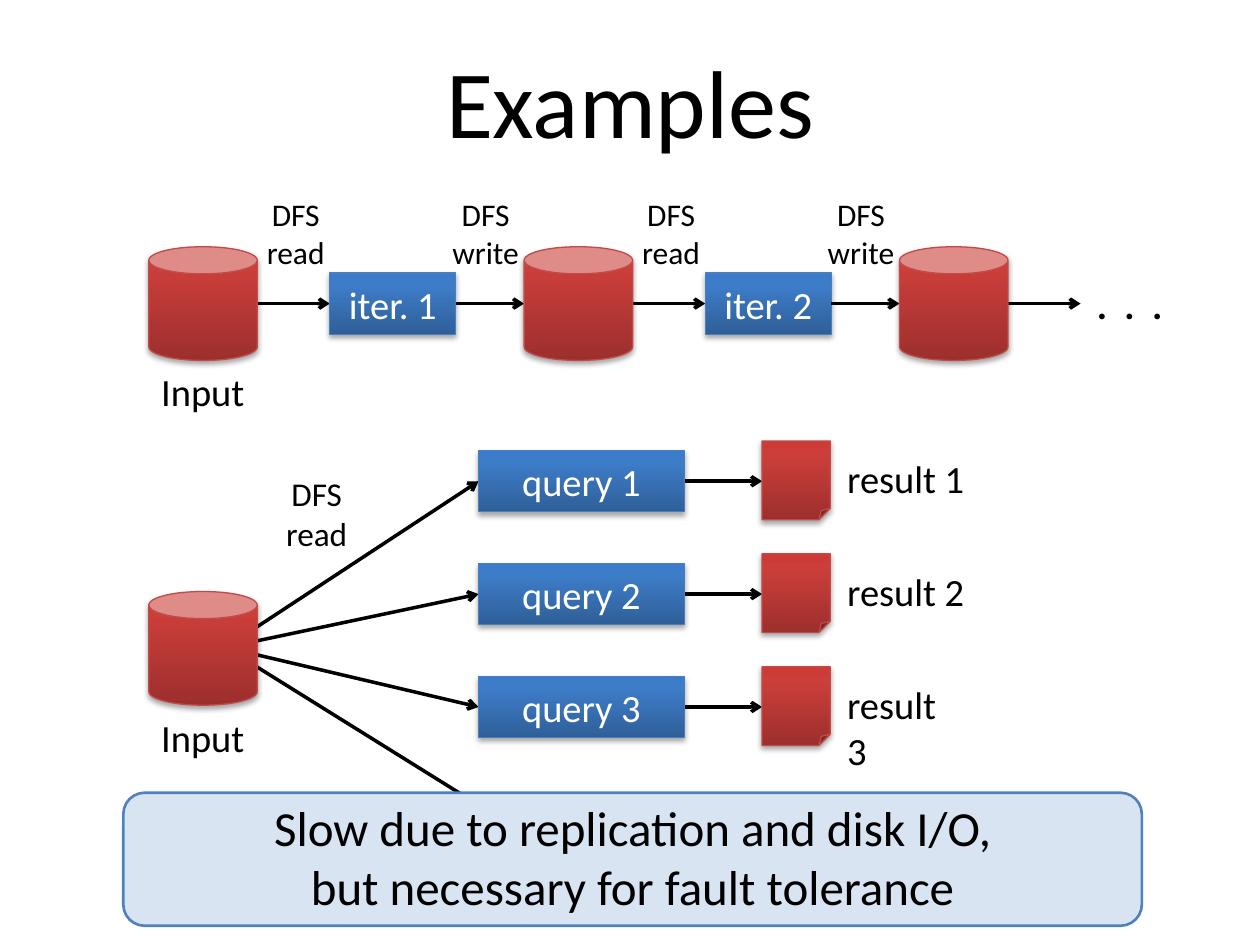
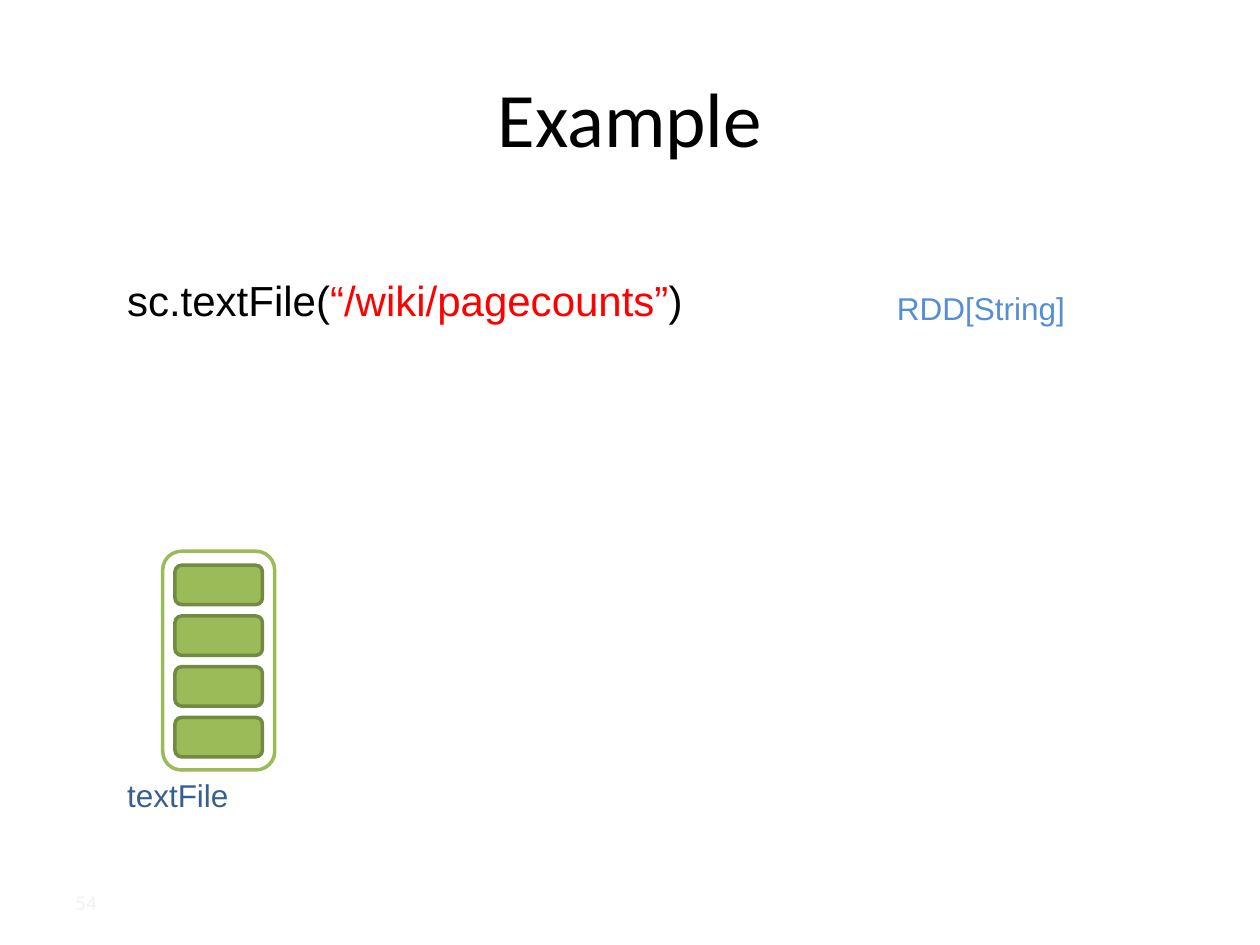
from lxml import etree
from pptx import Presentation
from pptx.dml.color import RGBColor
from pptx.enum.shapes import MSO_CONNECTOR, MSO_SHAPE
from pptx.enum.text import MSO_ANCHOR, MSO_AUTO_SIZE, PP_ALIGN
from pptx.oxml import parse_xml
from pptx.oxml.ns import nsdecls, qn
from pptx.util import Pt

CAN, RECT, ROUNDED, SHEET = (MSO_SHAPE.CAN, MSO_SHAPE.RECTANGLE,
                             MSO_SHAPE.ROUNDED_RECTANGLE, MSO_SHAPE.FOLDED_CORNER)
LEFT, CENTER = PP_ALIGN.LEFT, PP_ALIGN.CENTER
MIDDLE, TOP = MSO_ANCHOR.MIDDLE, MSO_ANCHOR.TOP
GROW, STRAIGHT = MSO_AUTO_SIZE.SHAPE_TO_FIT_TEXT, MSO_CONNECTOR.STRAIGHT

BODY, CODE = "Calibri", "Arial"
BLACK, WHITE, RED = "000000", "FFFFFF", "FF0000"
PALE_GRAY, LIGHT_BLUE, DEEP_BLUE = "F2F2F2", "558ED5", "376092"
GREEN, DARK_GREEN = "9BBB59", "738A42"
BANNER_FILL, BANNER_LINE = "D9E4F2", "4F81BD"
STORAGE = {"stops": ("9C2F2D", "CB3E3A", "CE3B37"), "line": "BF4C48"}
COMPUTE = {"stops": ("2F5F99", "3D7CC7", "3A7CCB"), "line": "4B7EBC"}

STAGE_LEFT, STAGE_PITCH, FLOW_Y = 85, 214.5, 173.5
CAN_W, CAN_H = 62, 65
QUERY_LEFT, QUERY_W, QUERY_Y, QUERY_PITCH = 273.5, 117.5, 275, 64.5
RESULT_LEFT, STEP_H = 435.5, 35
RESULT_LABEL_WIDTHS = (82, 82, 80.5)
FAN_START = (129, 370)


def rgb(hex_color):
    """Turn a hex string into a colour."""
    return RGBColor.from_string(hex_color)


def set_font(font, size, color, name=BODY, bold=False):
    """Set the look of a font."""
    font.name, font.size, font.bold = name, Pt(size), bold
    font.color.rgb = rgb(color)


def write(frame, text, size, color=BLACK, name=BODY, align=CENTER, bold=False):
    """Fill a frame with one evenly formatted paragraph."""
    paragraph = frame.paragraphs[0]
    paragraph.text = text
    paragraph.alignment = align
    set_font(paragraph.font, size, color, name, bold)


def add_label(slide, text, left, top, width, height, size, color=BLACK,
              name=BODY, align=LEFT, wrap=True, anchor=TOP, bold=False):
    """Add a text box and return its frame."""
    frame = slide.shapes.add_textbox(Pt(left), Pt(top), Pt(width), Pt(height)).text_frame
    frame.word_wrap = wrap
    frame.vertical_anchor = anchor
    if anchor == TOP:
        frame.auto_size = GROW
    write(frame, text, size, color, name, align, bold)
    return frame


def add_title(slide, text, top, size):
    """Add the slide title."""
    add_label(slide, text, 36, top, 648, 90, size, align=CENTER, anchor=MIDDLE)


def add_block(shapes, kind, left, top, width, height, line, weight, fill=None):
    """Add an outlined shape, with a flat fill if one is given."""
    block = shapes.add_shape(kind, Pt(left), Pt(top), Pt(width), Pt(height))
    block.shadow.inherit = False
    block.line.color.rgb = rgb(line)
    block.line.width = Pt(weight)
    if fill:
        block.fill.solid()
        block.fill.fore_color.rgb = rgb(fill)
    return block


def add_glossy(slide, kind, left, top, width, height, style):
    """Add a shape with a vertical gradient and a soft shadow."""
    block = add_block(slide.shapes, kind, left, top, width, height, style["line"], 0.75)
    properties = block._element.spPr
    stops = "".join(f'<a:gs pos="{place}"><a:srgbClr val="{color}"/></a:gs>'
                    for place, color in zip((0, 80000, 100000), style["stops"]))
    properties.find(qn("a:prstGeom")).addnext(parse_xml(
        f'<a:gradFill {nsdecls("a")} rotWithShape="1"><a:gsLst>{stops}</a:gsLst>'
        '<a:lin ang="16200000" scaled="0"/></a:gradFill>'))
    properties.find(qn("a:effectLst")).append(parse_xml(
        f'<a:outerShdw {nsdecls("a")} blurRad="40000" dist="23000" dir="5400000" '
        'rotWithShape="0"><a:srgbClr val="000000"><a:alpha val="35000"/>'
        '</a:srgbClr></a:outerShdw>'))
    return block


def add_step(slide, text, left, middle, width):
    """Add a blue processing step centred on a height."""
    frame = add_glossy(slide, RECT, left, middle - STEP_H / 2, width, STEP_H, COMPUTE).text_frame
    frame.margin_left = frame.margin_right = 0
    frame.vertical_anchor = MIDDLE
    write(frame, text, 22, WHITE)


def add_arrow(slide, start, end):
    """Add a black arrow between two points."""
    arrow = slide.shapes.add_connector(STRAIGHT, *(Pt(v) for v in (*start, *end)))
    arrow.line.color.rgb = rgb(BLACK)
    arrow.line.width = Pt(2)
    etree.SubElement(arrow.line._get_or_add_ln(), qn("a:tailEnd"), type="arrow")
    etree.SubElement(arrow._element.spPr, qn("a:effectLst"))


def add_transfer(slide, action, center, top=108, size=18):
    """Add a two-line label for a file system transfer."""
    add_label(slide, f"DFS\n{action}", center - 29, top, 58, 51, size,
              align=CENTER, wrap=False)


def add_input(slide, top):
    """Add the caption below an input store."""
    add_label(slide, "Input", STAGE_LEFT, top, 63, 34, 22, wrap=False)


def draw_iterations(slide):
    """Draw the chain of iterations that read and write storage."""
    for stage in range(3):
        left = STAGE_LEFT + stage * STAGE_PITCH
        step_left, step_right = left + 103.5, left + 175.5
        add_arrow(slide, (left + CAN_W, FLOW_Y), (step_left, FLOW_Y))
        if stage < 2:
            add_step(slide, f"iter. {stage + 1}", step_left, FLOW_Y, 72)
            add_arrow(slide, (step_right, FLOW_Y), (left + STAGE_PITCH, FLOW_Y))
            add_transfer(slide, "read", left + 84)
            add_transfer(slide, "write", left + 192.5)
        add_glossy(slide, CAN, left, 141, CAN_W, CAN_H, STORAGE)
    add_label(slide, ".  .  .", 617, 157, 57, 34, 22, align=CENTER, bold=True)
    add_input(slide, 207)


def draw_queries(slide):
    """Draw the queries that fan out from one input."""
    for index, label_width in enumerate(RESULT_LABEL_WIDTHS):
        middle = QUERY_Y + index * QUERY_PITCH
        add_arrow(slide, FAN_START, (QUERY_LEFT, middle))
        add_arrow(slide, (QUERY_LEFT + QUERY_W, middle), (RESULT_LEFT, middle))
        add_step(slide, f"query {index + 1}", QUERY_LEFT, middle, QUERY_W)
        add_glossy(slide, SHEET, RESULT_LEFT, middle - 23, 39, 45, STORAGE)
        add_label(slide, f"result {index + 1}", 477, middle - 18.5, label_width, 34, 22)
    add_arrow(slide, FAN_START, (QUERY_LEFT, 460))
    add_glossy(slide, CAN, STAGE_LEFT, 338, CAN_W, CAN_H, STORAGE)
    add_input(slide, 404.5)
    add_transfer(slide, "read", 181, 267, 19)


def draw_banner(slide):
    """Draw the conclusion along the foot of the slide."""
    banner = add_block(slide.shapes, ROUNDED, 70.5, 453, 582, 76, BANNER_LINE, 1.5, BANNER_FILL)
    banner.adjustments[0] = 0.16
    frame = banner.text_frame
    frame.margin_top = 0
    frame.vertical_anchor = MIDDLE
    write(frame, "Slow due to replication and disk I/O,\nbut necessary for fault tolerance", 28)


def draw_code(slide):
    """Draw the line of code and the type of its result."""
    frame = add_label(slide, "", 65.5, 153.5, 409, 36, 24, name=CODE)
    for text, color in (("sc.textFile(", BLACK), ("“/wiki/pagecounts”", RED), (")", BLACK)):
        run = frame.paragraphs[0].add_run()
        run.text = text
        set_font(run.font, 24, color, CODE)
    add_label(slide, "RDD[String]", 505.5, 161.5, 128, 29, 18, LIGHT_BLUE, CODE)


def draw_partitions(slide):
    """Draw the dataset as a stack of partitions."""
    dataset = slide.shapes.add_group_shape().shapes
    add_block(dataset, ROUNDED, 93, 315, 64, 125, GREEN, 2, WHITE)
    for index in range(4):
        add_block(dataset, ROUNDED, 100, 323 + index * 29, 50, 22.5, DARK_GREEN, 2, GREEN)
    add_label(slide, "textFile", 65.5, 440, 110, 29, 18, DEEP_BLUE, CODE)


def main():
    """Build both slides and save the presentation."""
    deck = Presentation()
    deck.slide_width, deck.slide_height = Pt(720), Pt(540)
    examples, example = (deck.slides.add_slide(deck.slide_layouts[6]) for _ in range(2))

    add_title(examples, "Examples", 12, 55)
    draw_iterations(examples)
    draw_queries(examples)
    draw_banner(examples)

    add_title(example, "Example", 21.5, 44)
    draw_code(example)
    draw_partitions(example)
    add_label(example, "54", 36, 501, 168, 29, 12, PALE_GRAY, anchor=MIDDLE)
    deck.save("out.pptx")


if __name__ == "__main__":
    main()
